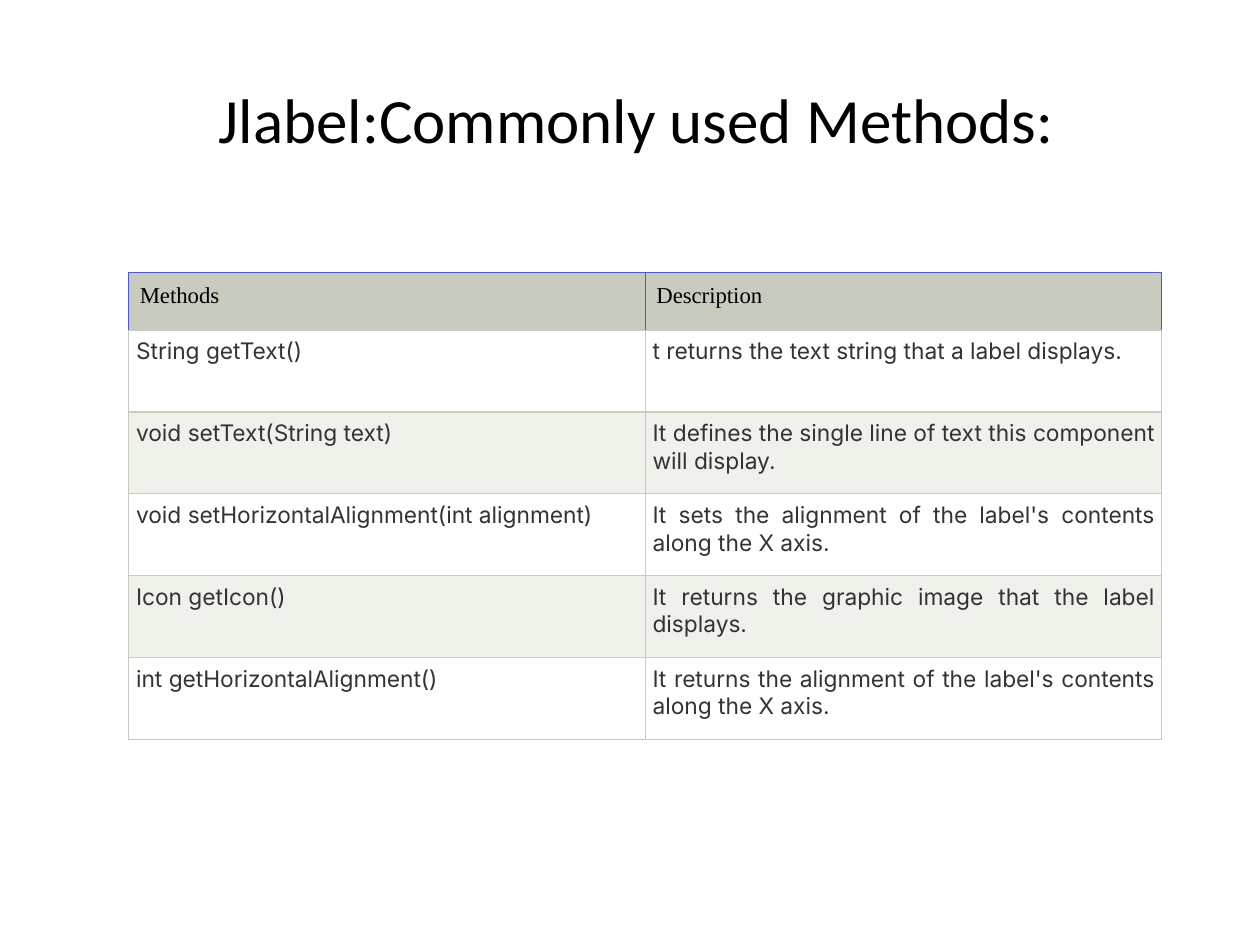
from lxml import etree
from pptx import Presentation
from pptx.dml.color import RGBColor
from pptx.enum.text import MSO_ANCHOR, PP_ALIGN
from pptx.oxml.ns import qn
from pptx.util import Inches, Pt

CENTER, JUSTIFY, LEFT = PP_ALIGN.CENTER, PP_ALIGN.JUSTIFY, PP_ALIGN.LEFT
MIDDLE = MSO_ANCHOR.MIDDLE

# Content
TITLE = "Jlabel:Commonly used Methods:"
ROWS = [
    ("Methods", "Description"),
    ("String getText()", "t returns the text string that a label displays."),
    ("void setText(String text)",
     "It defines the single line of text this component will display."),
    ("void setHorizontalAlignment(int alignment)",
     "It sets the alignment of the label's contents along the X axis."),
    ("Icon getIcon()", "It returns the graphic image that the label displays."),
    ("int getHorizontalAlignment()",
     "It returns the alignment of the label's contents along the X axis."),
]

# Look
BLACK, GRAY, WHITE = "000000", "333333", "FFFFFF"
SAGE, PALE, BLUE = "C7CCBE", "EFF1EB", "5057CD"
HEAD = dict(face="Times New Roman", ink=BLACK, align=LEFT, pad=0.09, edge=BLUE)
BODY = dict(face="Inter", ink=GRAY, align=JUSTIFY, pad=0.06, edge=SAGE)
COL, TOP_ROW, ROW = 4.1, 0.46, 0.65


def color(code):
    return RGBColor.from_string(code)


def style(par, face, size, ink, align):
    par.alignment = align
    par.font.name = face
    par.font.size = Pt(size)
    par.font.color.rgb = color(ink)


def border(cell, side, code):
    props = cell._tc.get_or_add_tcPr()
    line = etree.SubElement(props, qn("a:ln" + side), w=str(Pt(0.75)))
    fill = etree.SubElement(line, qn("a:solidFill"))
    etree.SubElement(fill, qn("a:srgbClr"), val=code)


def fill_cell(cell, text, fill, face, ink, align, pad, edge):
    cell.text = text
    style(cell.text_frame.paragraphs[0], face, 13, ink, align)
    cell.margin_left = cell.margin_right = Inches(pad)
    cell.margin_top = cell.margin_bottom = Inches(pad)
    for side in "LRT":
        border(cell, side, edge)
    border(cell, "B", SAGE)
    cell.fill.solid()
    cell.fill.fore_color.rgb = color(fill)


deck = Presentation()
deck.slide_width, deck.slide_height = Inches(10), Inches(7.5)
slide = deck.slides.add_slide(deck.slide_layouts[6])

# Title
box = slide.shapes.add_textbox(Inches(0.55), Inches(0.31), Inches(9), Inches(1.25))
frame = box.text_frame
frame.word_wrap = True
frame.vertical_anchor = MIDDLE
frame.text = TITLE
style(frame.paragraphs[0], "Calibri", 36, BLACK, CENTER)

# Table of methods
high = TOP_ROW + ROW * (len(ROWS) - 1)
table = slide.shapes.add_table(len(ROWS), 2, Inches(1.02), Inches(2.16),
                               Inches(2 * COL), Inches(high)).table
table.first_row = table.horz_banding = False
for col in table.columns:
    col.width = Inches(COL)
for i, texts in enumerate(ROWS):
    table.rows[i].height = Inches(ROW if i else TOP_ROW)
    look = BODY if i else HEAD
    fill = (WHITE if i % 2 else PALE) if i else SAGE
    for j, text in enumerate(texts):
        fill_cell(table.cell(i, j), text, fill, **look)

deck.save("out.pptx")
